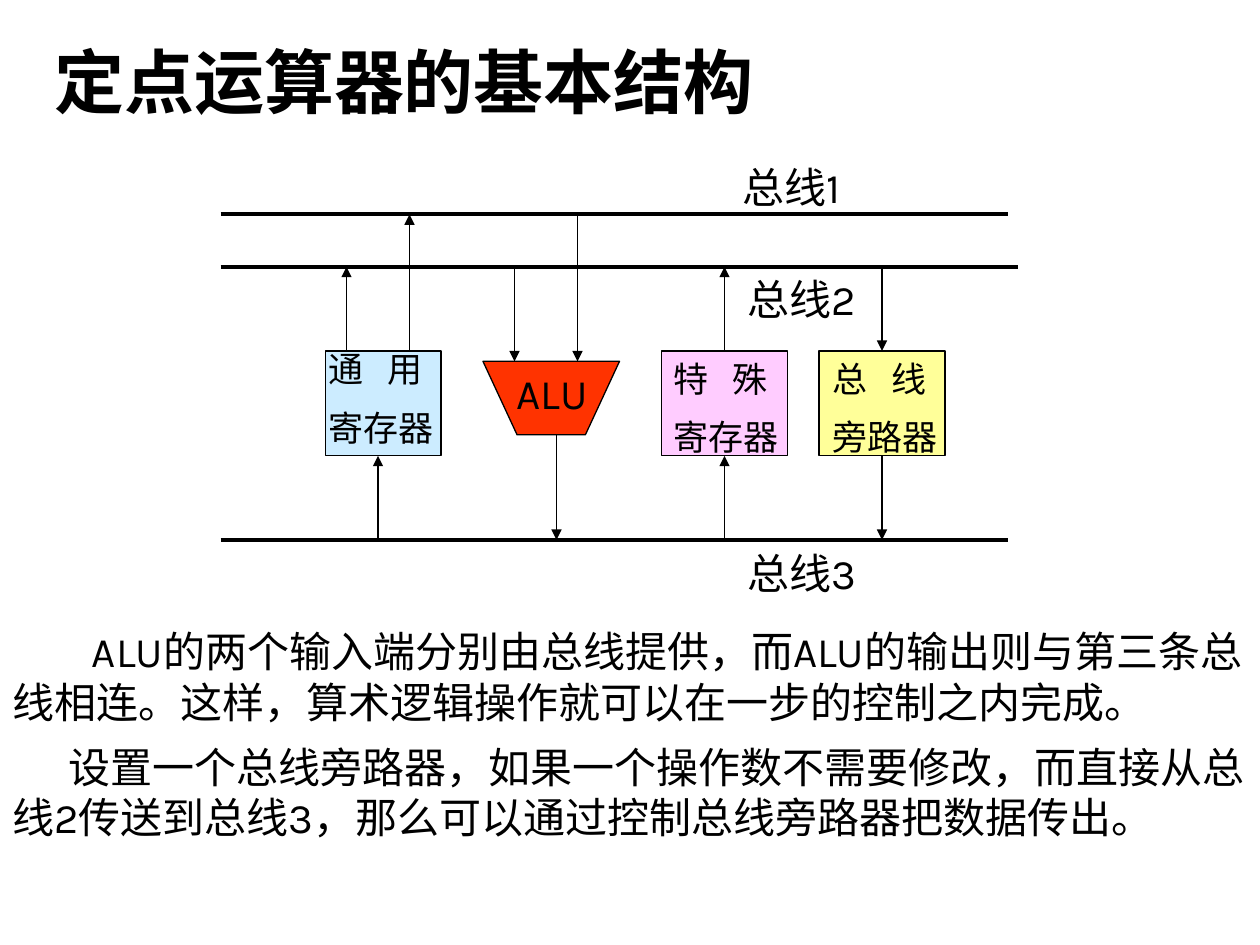
from typing import NamedTuple

from lxml import etree
from pptx import Presentation
from pptx.dml.color import RGBColor
from pptx.enum.shapes import MSO_CONNECTOR, MSO_SHAPE
from pptx.enum.text import MSO_ANCHOR
from pptx.oxml.ns import qn
from pptx.util import Pt

RECTANGLE = MSO_SHAPE.RECTANGLE
STRAIGHT = MSO_CONNECTOR.STRAIGHT
MIDDLE = MSO_ANCHOR.MIDDLE
TOP = MSO_ANCHOR.TOP

COLORS = {
    "black": "000000",
    "general": "CCECFF",
    "special": "FFCCFF",
    "bypass": "FFFF99",
    "alu": "FF3300",
}
BUS_1, BUS_2, BUS_3 = 122.5, 152.5, 308.5
BOX_TOP, BOX_BOTTOM = 200.5, 260.5
ALU_TOP, ALU_BOTTOM = 206.5, 248.5
BUS_LEFT = 126
THIN, THICK = 0.75, 2.25


class Unit(NamedTuple):
    left: float
    width: float
    color: str


class Label(NamedTuple):
    text: str
    left: float
    top: float
    width: float
    height: float
    size: float
    font: str = "Karla"
    bold: bool = False
    anchor: MSO_ANCHOR = TOP
    indent: float = 0
    tab: float = 0


class Arrow(NamedTuple):
    x: float
    start: float
    end: float


UNITS = [
    Unit(468, 72, "bypass"),
    Unit(378, 72, "special"),
    Unit(186, 66, "general"),
]
ALU_OUTLINE = [(276, ALU_TOP), (295.5, ALU_BOTTOM), (334.5, ALU_BOTTOM), (354, ALU_TOP)]
BUSES = [(BUS_1, 576), (BUS_2, 582), (BUS_3, 576)]
ARROWS = [
    Arrow(198, BOX_TOP, BUS_2),
    Arrow(234, BOX_TOP, BUS_1),
    Arrow(216, BUS_3, BOX_BOTTOM),
    Arrow(294, BUS_2, ALU_TOP),
    Arrow(330, BUS_1, ALU_TOP),
    Arrow(318, ALU_BOTTOM, BUS_3),
    Arrow(414, BOX_TOP, BUS_2),
    Arrow(414, BUS_3, BOX_BOTTOM),
    Arrow(504, BUS_2, BOX_TOP),
    Arrow(504, BOX_BOTTOM, BUS_3),
]
LABELS = [
    Label("定点运算器的基本结构", 24, 13, 612, 66, 40, "Arial", True, MIDDLE),
    Label("通\t用\n寄存器", 180.5, 195, 102, 68, 20, tab=33.7),
    Label("ALU", 288, 206.5, 90, 36, 24),
    Label("特\t殊\n寄存器", 378, 200.5, 90, 68, 20, tab=33.7),
    Label("总\t线\n旁路器", 468.5, 200.5, 108, 68, 20, tab=33.7),
    Label("总线1", 417, 88.5, 90, 36, 24),
    Label("总线2", 420, 152.5, 97, 36, 24),
    Label("总线3", 420, 309.5, 97, 36, 24),
    Label("ALU的两个输入端分别由总线提供，而ALU的输出则与第三条总线相连。"
          "这样，算术逻辑操作就可以在一步的控制之内完成。",
          0, 354, 720, 65, 24, indent=45.5),
    Label("设置一个总线旁路器，如果一个操作数不需要修改，而直接从总线2传送到总线3，"
          "那么可以通过控制总线旁路器把数据传出。",
          0, 420, 720, 65, 24, indent=32),
]


def color_of(name: str) -> RGBColor:
    return RGBColor.from_string(COLORS[name])


def style_shape(shape, color: str) -> None:
    shape.shadow.inherit = False
    shape.fill.solid()
    shape.fill.fore_color.rgb = color_of(color)
    shape.line.color.rgb = color_of("black")
    shape.line.width = Pt(THIN)


def draw_unit(slide, unit: Unit) -> None:
    shape = slide.shapes.add_shape(
        RECTANGLE, Pt(unit.left), Pt(BOX_TOP), Pt(unit.width), Pt(BOX_BOTTOM - BOX_TOP))
    style_shape(shape, unit.color)


def draw_alu(slide) -> None:
    first, *others = [(Pt(x), Pt(y)) for x, y in ALU_OUTLINE]
    builder = slide.shapes.build_freeform(*first)
    builder.add_line_segments(others, close=True)
    style_shape(builder.convert_to_shape(), "alu")


def draw_line(slide, x1: float, y1: float, x2: float, y2: float, width: float):
    connector = slide.shapes.add_connector(STRAIGHT, Pt(x1), Pt(y1), Pt(x2), Pt(y2))
    connector.line.color.rgb = color_of("black")
    connector.line.width = Pt(width)
    etree.SubElement(connector.element.spPr, qn("a:effectLst"))
    return connector


def draw_arrow(slide, arrow: Arrow) -> None:
    connector = draw_line(slide, arrow.x, arrow.start, arrow.x, arrow.end, THIN)
    line = connector.element.spPr.find(qn("a:ln"))
    etree.SubElement(line, qn("a:tailEnd"), type="triangle")


def add_tab_stop(paragraph, position: float) -> None:
    properties = paragraph._p.get_or_add_pPr()
    stops = etree.SubElement(properties, qn("a:tabLst"))
    etree.SubElement(stops, qn("a:tab"), pos=str(Pt(position)), algn="l")


def draw_label(slide, label: Label) -> None:
    box = slide.shapes.add_textbox(
        Pt(label.left), Pt(label.top), Pt(label.width), Pt(label.height))
    text_frame = box.text_frame
    text_frame.word_wrap = True
    text_frame.vertical_anchor = label.anchor
    text_frame.text = label.text
    for index, paragraph in enumerate(text_frame.paragraphs):
        if index:
            paragraph.space_before = Pt(9.5)
        if label.indent:
            paragraph._p.get_or_add_pPr().set("indent", str(Pt(label.indent)))
        if label.tab and "\t" in paragraph.text:
            add_tab_stop(paragraph, label.tab)
        for run in paragraph.runs:
            run.font.name = label.font
            run.font.size = Pt(label.size)
            run.font.bold = label.bold
            run.font.color.rgb = color_of("black")


def main() -> None:
    presentation = Presentation()
    presentation.slide_width = Pt(720)
    presentation.slide_height = Pt(540)
    slide = presentation.slides.add_slide(presentation.slide_layouts[6])

    for unit in UNITS:
        draw_unit(slide, unit)
    draw_alu(slide)
    for y, right in BUSES:
        draw_line(slide, BUS_LEFT, y, right, y, THICK)
    for arrow in ARROWS:
        draw_arrow(slide, arrow)
    for label in LABELS:
        draw_label(slide, label)

    presentation.save("out.pptx")


if __name__ == "__main__":
    main()
